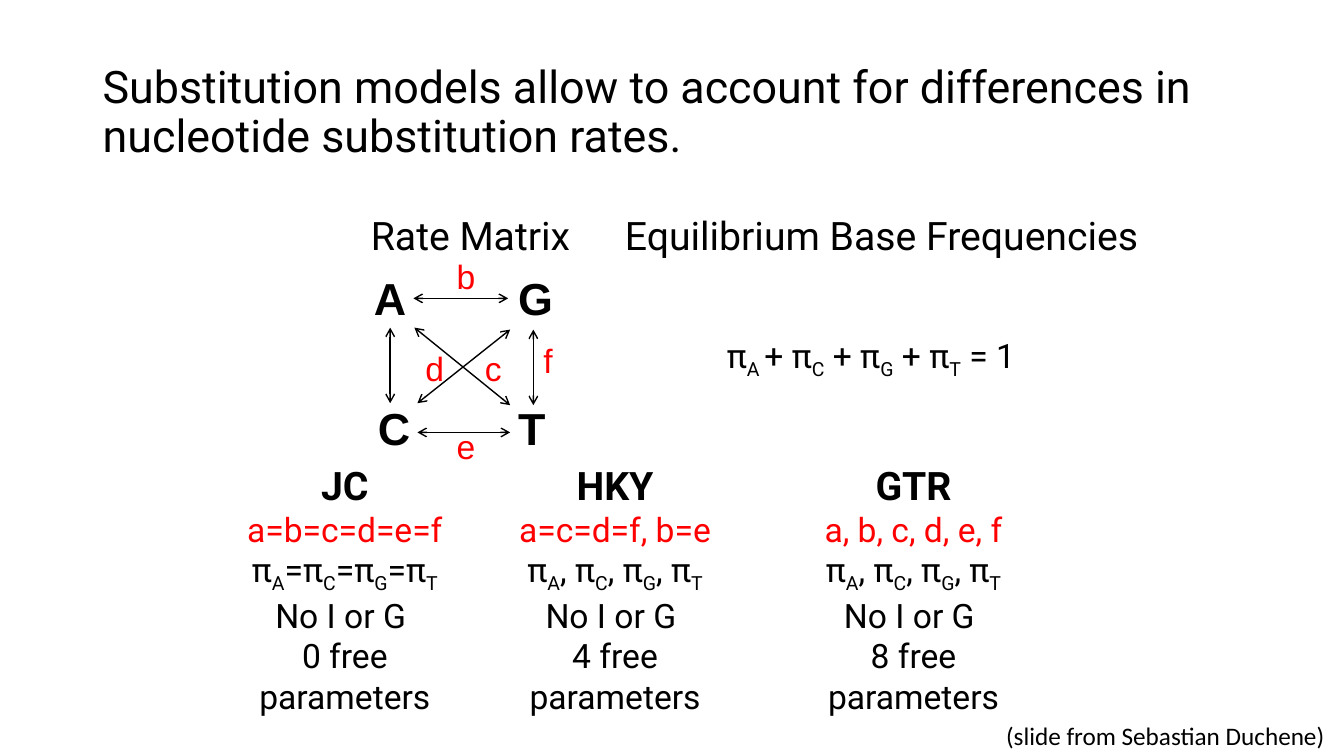
from lxml import etree
from pptx import Presentation
from pptx import util as u
from pptx.dml.color import RGBColor
from pptx.enum import shapes, text
from pptx.oxml.ns import qn

BLACK = RGBColor(0, 0, 0)
RED = RGBColor(255, 0, 0)
WIDE, HIGH = 13.33, 7.5

TITLE = "Substitution models allow to account for differences in nucleotide substitution rates."
CREDIT = "(slide from Sebastian Duchene)"
HEADS = [("Rate Matrix", 3.58, 2.21), ("Equilibrium Base Frequencies", 6.1, 5.43)]
SUM = "π|A |+ π|C| + π|G| + π|T| = 1"
BASES = {"A": (3.61, 2.64, 0.49), "G": (5.04, 2.64, 0.53),
         "C": (3.65, 3.93, 0.52), "T": (5.04, 3.93, 0.47)}
RATES = {"b": (4.43, 2.49, 0.4), "c": (4.71, 3.4, 0.38), "d": (4.12, 3.4, 0.4),
         "e": (4.43, 4.18, 0.38), "f": (5.29, 3.32, 0.29)}
ARROWS = [(4.1, 2.96, 5.04, 2.96), (5.29, 3.27, 5.29, 4.02), (3.87, 3.25, 3.87, 4),
          (4.14, 4.29, 5.06, 4.29), (4.11, 3.25, 5.06, 4.02), (5.06, 3.27, 4.14, 4)]
MODELS = [("JC", 2.21, "a=b=c=d=e=f", "=", 0),
          ("HKY", 4.89, "a=c=d=f, b=e", ", ", 4),
          ("GTR", 7.85, "a, b, c, d, e, f", ", ", 8)]

deck = Presentation()
deck.slide_width, deck.slide_height = u.Inches(WIDE), u.Inches(HIGH)
slide = deck.slides.add_slide(deck.slide_layouts[6])


def fill(para, words, size=24, font="Roboto", color=BLACK, bold=False):
    for i, part in enumerate(words.split("|")):
        if not part:
            continue
        run = para.add_run()
        run.text = part
        face = run.font
        face.size, face.name, face.bold = u.Pt(size), font, bold
        face.color.rgb = color
        if i % 2:
            face._element.set("baseline", "-25000")


def write(lines, x, y, w, h, wrap=False, align=None, space=None, mid=False, **style):
    box = slide.shapes.add_textbox(*map(u.Inches, (x, y, w, h)))
    frame = box.text_frame
    frame.word_wrap = wrap
    frame.auto_size = text.MSO_AUTO_SIZE.NONE if mid else text.MSO_AUTO_SIZE.SHAPE_TO_FIT_TEXT
    if mid:
        frame.vertical_anchor = text.MSO_ANCHOR.MIDDLE
    if isinstance(lines, str):
        lines = [(lines, style)]
    for i, (words, look) in enumerate(lines):
        para = frame.add_paragraph() if i else frame.paragraphs[0]
        para.alignment, para.line_spacing = align, space
        fill(para, words, **look)
    return box


def arrow(*ends):
    line = slide.shapes.add_connector(shapes.MSO_CONNECTOR.STRAIGHT, *map(u.Inches, ends))
    line.line.color.rgb = BLACK
    line.line.width = u.Pt(1)
    pen = line.line._get_or_add_ln()
    for tag in ("a:headEnd", "a:tailEnd"):
        etree.SubElement(pen, qn(tag), type="arrow")
    etree.SubElement(line._element.spPr, qn("a:effectLst"))
    return line


write(TITLE, 0.92, 0.4, 11.5, 1.45, wrap=True, space=0.9, mid=True, size=32)

nodes = {base: write(base, *spot, 0.64, size=32, font="Arial", bold=True)
         for base, spot in BASES.items()}
top, *rest = [arrow(*ends) for ends in ARROWS]
top.begin_connect(nodes["A"], 3)
top.end_connect(nodes["G"], 1)

for head, x, w in HEADS:
    write(head, x, 2.05, w, 0.57, size=28)
write(SUM, 7.11, 3.27, 3.41, 0.5)
for rate, spot in RATES.items():
    write(rate, *spot, 0.5, font="Arial", color=RED)

for name, x, rates, sep, free in MODELS:
    lines = [(name, dict(size=28, bold=True)), (rates, dict(color=RED)),
             (sep.join(f"π|{base}|" for base in "ACGT"), {}),
             ("No I or G ", {}), (f"{free} free parameters", {})]
    write(lines, x, 4.53, 2.42, 2.59, wrap=True, align=text.PP_ALIGN.CENTER)

write(CREDIT, WIDE - 3.45, HIGH - 0.4, 3.45, 0.4, wrap=True, size=18, font="Calibri")

deck.save("out.pptx")
